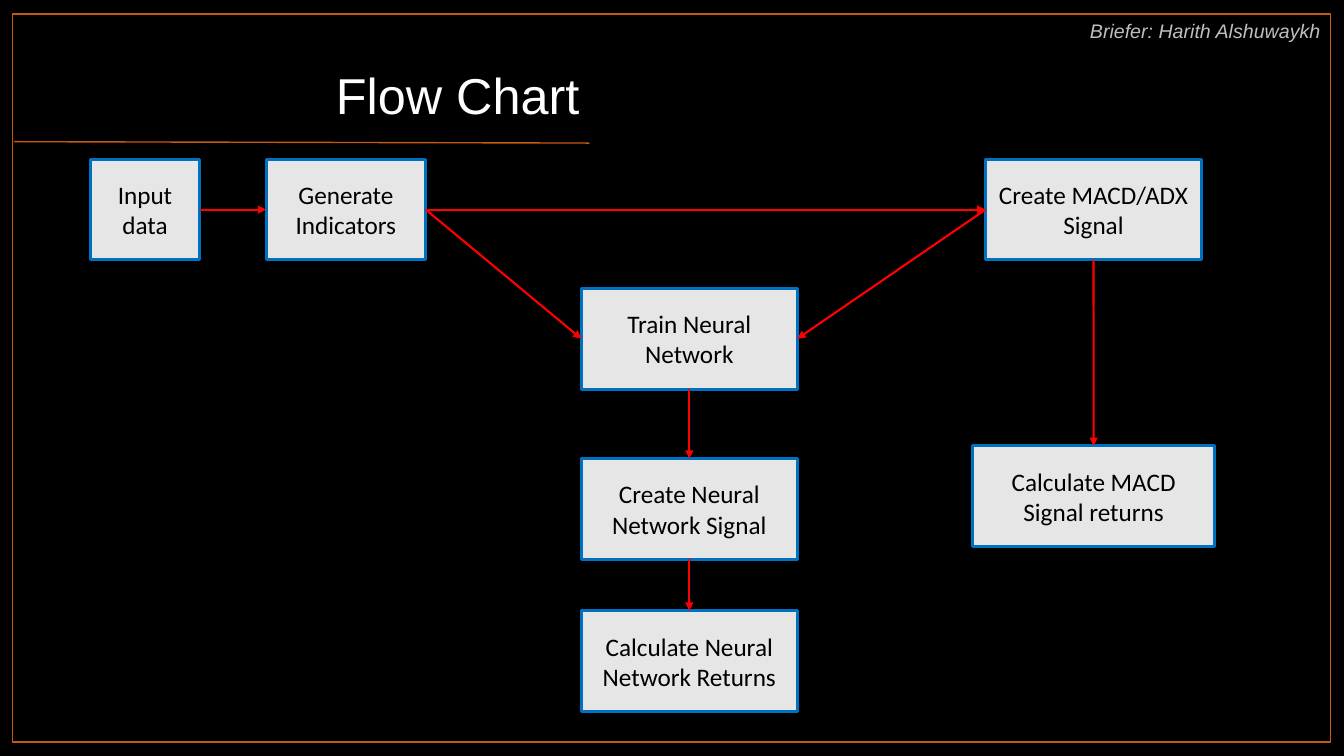
from pptx import Presentation
from pptx.dml.color import RGBColor
from pptx.enum.shapes import MSO_CONNECTOR, MSO_SHAPE
from pptx.enum.text import MSO_ANCHOR, PP_ALIGN
from pptx.oxml.ns import qn
from pptx.util import Pt
from lxml import etree

RECT = MSO_SHAPE.RECTANGLE
LINE = MSO_CONNECTOR.STRAIGHT
MIDDLE, TOP = MSO_ANCHOR.MIDDLE, MSO_ANCHOR.TOP
CENTER, RIGHT = PP_ALIGN.CENTER, PP_ALIGN.RIGHT
NORTH, WEST, SOUTH, EAST = range(4)  # connection sites of a rectangle

# Colours and type sizes
THEME = {
    "back": RGBColor.from_string("000000"),
    "frame": RGBColor.from_string("C55A11"),
    "box": RGBColor.from_string("E7E6E6"),
    "edge": RGBColor.from_string("0070C0"),
    "arrow": RGBColor.from_string("FF0000"),
    "title": (RGBColor.from_string("FFFFFF"), {"name": "Arial", "size": Pt(36)}),
    "brief": (RGBColor.from_string("BFBFBF"),
              {"name": "Arial", "size": Pt(14), "italic": True}),
    "step": (RGBColor.from_string("000000"), {"name": "Calibri", "size": Pt(18)}),
}

deck = Presentation()
deck.slide_width, deck.slide_height = Pt(960), Pt(540)
slide = deck.slides.add_slide(deck.slide_layouts[6])
shapes = slide.shapes


def add_rect(area, fill, edge=None, width=0):
    rect = shapes.add_shape(RECT, *map(Pt, area))
    rect.shadow.inherit = False
    rect.fill.solid()
    rect.fill.fore_color.rgb = THEME[fill]
    if edge:
        rect.line.color.rgb = THEME[edge]
        rect.line.width = Pt(width)
    else:
        rect.line.fill.background()
    return rect


def write(shape, text, role, align, anchor):
    frame = shape.text_frame
    frame.word_wrap = True
    frame.vertical_anchor = anchor
    par = frame.paragraphs[0]
    par.alignment = align
    run = par.add_run()
    run.text = text
    color, style = THEME[role]
    run.font.color.rgb = color
    for key, value in style.items():
        setattr(run.font, key, value)


# Backdrop and frame
add_rect((0, 0, 960, 540), "back")
add_rect((8.8, 10, 941.6, 520), "back", "frame", 1)

# Title and briefer
for text, role, area in (
    ("Flow Chart", "title", (10, 42.4, 411, 51)),
    ("Briefer: Harith Alshuwaykh", "brief", (620.5, 10, 330, 58)),
):
    write(shapes.add_textbox(*map(Pt, area)), text, role, RIGHT, TOP)

# Steps: name, left, top, width, text
TALL, ROW, MID, WIDE = 72, 113.7, 415.3, 154.2
boxes = {}
for name, left, top, width, text in (
    ("input", 64.6, ROW, 78, "Input data"),
    ("gauge", 190.1, ROW, 114, "Generate Indicators"),
    ("macd", 704, ROW, WIDE, "Create MACD/ADX Signal"),
    ("gain", 694.7, 318.5, 173, "Calculate MACD Signal returns"),
    ("train", MID, 206, WIDE, "Train Neural Network"),
    ("signal", MID, 327.6, WIDE, "Create Neural Network Signal"),
    ("return", MID, 436.3, WIDE, "Calculate Neural Network Returns"),
):
    boxes[name] = add_rect((left, top, width, TALL), "box", "edge", 2.25)
    write(boxes[name], text, "step", CENTER, MIDDLE)

# Title rule and arrows: start, site, end, site
links = [(shapes.add_connector(LINE, Pt(10), Pt(101.2), Pt(421), Pt(102.2)),
          "frame", 1)]
for start, out, end, into in (
    ("input", EAST, "gauge", WEST),
    ("gauge", EAST, "macd", WEST),
    ("gauge", EAST, "train", WEST),
    ("macd", WEST, "train", EAST),
    ("train", SOUTH, "signal", NORTH),
    ("signal", SOUTH, "return", NORTH),
    ("macd", SOUTH, "gain", NORTH),
):
    link = shapes.add_connector(LINE, 0, 0, 0, 0)
    link.begin_connect(boxes[start], out)
    link.end_connect(boxes[end], into)
    links.append((link, "arrow", 1.5))

# Line styles
for link, color, width in links:
    link.line.color.rgb = THEME[color]
    link.line.width = Pt(width)
    if color == "arrow":
        etree.SubElement(link.line._get_or_add_ln(), qn("a:tailEnd"), type="triangle")
    etree.SubElement(link._element.spPr, qn("a:effectLst"))

deck.save("out.pptx")
